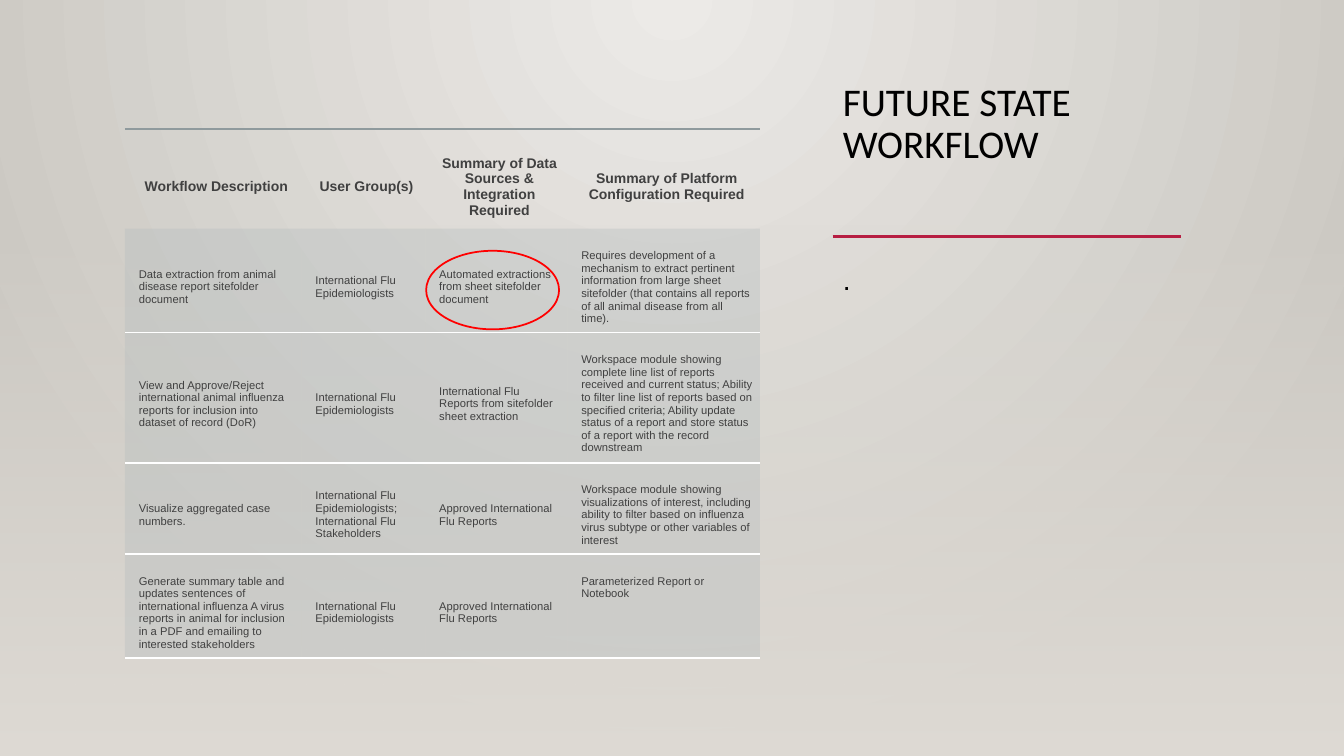
from lxml import etree
from pptx import Presentation
from pptx.dml.color import RGBColor
from pptx.enum.shapes import MSO_CONNECTOR, MSO_SHAPE
from pptx.enum.text import MSO_ANCHOR, PP_ALIGN
from pptx.oxml import parse_xml
from pptx.oxml.ns import qn
from pptx.util import Cm, Pt

STRAIGHT = MSO_CONNECTOR.STRAIGHT
RECTANGLE, OVAL = MSO_SHAPE.RECTANGLE, MSO_SHAPE.OVAL
TOP, MIDDLE = MSO_ANCHOR.TOP, MSO_ANCHOR.MIDDLE
LEFT, CENTER = PP_ALIGN.LEFT, PP_ALIGN.CENTER
DRAWING = "http://schemas.openxmlformats.org/drawingml/2006/main"
NO_GRID_STYLE = "{2D5ABB26-0587-4C30-8999-92F81FD0307C}"


def color(hex_value):
    return RGBColor.from_string(hex_value)


def write(frame, text, size, font="Arial", ink="000000", bold=False,
          align=LEFT, spacing=1.0, before=0):
    frame.word_wrap = True
    para = frame.paragraphs[0]
    para.alignment = align
    para.line_spacing = spacing
    para.space_before = Pt(before)
    span = para.add_run()
    span.text = text
    span.font.size = Pt(size)
    span.font.name = font
    span.font.bold = bold
    span.font.color.rgb = color(ink)


deck = Presentation()
deck.slide_width, deck.slide_height = Cm(33.87), Cm(19.05)
page = deck.slides.add_slide(deck.slide_layouts[6])

backdrop = page.background.fill
backdrop.gradient()
for stop, tone in zip(backdrop.gradient_stops, ("ECEAE7", "CAC7C1")):
    stop.color.rgb = color(tone)
linear = page.element.find(".//" + qn("a:lin"))
linear.getparent().replace(linear, parse_xml(
    f'<a:path xmlns:a="{DRAWING}" path="circle">'
    '<a:fillToRect l="43000" t="0" r="43000" b="100000"/></a:path>'))

floor = page.shapes.add_shape(RECTANGLE, Cm(0), Cm(5.61), deck.slide_width, Cm(13.44))
floor.shadow.inherit = False
floor.line.fill.background()
floor.fill.gradient()
floor.fill.gradient_angle = 270
for stop in floor.fill.gradient_stops:
    stop.color.rgb = color("DFDBD5")
first_tone = floor.element.find(".//" + qn("a:srgbClr"))
etree.SubElement(first_tone, qn("a:alpha")).set("val", "0")

title = page.shapes.add_textbox(Cm(20.99), Cm(1.96), Cm(8.76), Cm(3.63))
write(title.text_frame, "FUTURE STATE WORKFLOW", 28, font="Calibri", spacing=0.9)

rule = page.shapes.add_connector(STRAIGHT, Cm(20.98), Cm(5.96), Cm(29.76), Cm(5.96))
rule.line.color.rgb = color("B71E42")
rule.line.width = Pt(2.5)
etree.SubElement(rule.element.spPr, qn("a:effectLst"))

body = page.shapes.add_textbox(Cm(20.99), Cm(6.32), Cm(8.79), Cm(10.95))
write(body.text_frame, ".", 20, spacing=1.2, before=10)

rows = [
    ("Workflow Description", "User Group(s)",
     "Summary of Data Sources & Integration Required",
     "Summary of Platform Configuration Required"),
    ("Data extraction from animal disease report sitefolder document",
     "International Flu Epidemiologists",
     "Automated extractions from sheet sitefolder document",
     "Requires development of a mechanism to extract pertinent information from "
     "large sheet sitefolder (that contains all reports of all animal disease "
     "from all time)."),
    ("View and Approve/Reject international animal influenza reports for "
     "inclusion into dataset of record (DoR)",
     "International Flu Epidemiologists",
     "International Flu Reports from sitefolder sheet extraction",
     "Workspace module showing complete line list of reports received and current "
     "status; Ability to filter line list of reports based on specified criteria; "
     "Ability update status of a report and store status of a report with the "
     "record downstream"),
    ("Visualize aggregated case numbers.",
     "International Flu Epidemiologists; International Flu Stakeholders",
     "Approved International Flu Reports",
     "Workspace module showing visualizations of interest, including ability to "
     "filter based on influenza virus subtype or other variables of interest"),
    ("Generate summary table and updates sentences of international influenza A "
     "virus reports in animal for inclusion in a PDF and emailing to interested "
     "stakeholders",
     "International Flu Epidemiologists",
     "Approved International Flu Reports",
     "Parameterized Report or Notebook"),
]
widths = [4.45, 3.12, 3.58, 4.85]
heights = [2.51, 2.62, 3.25, 2.31, 2.62]

holder = page.shapes.add_table(len(rows), len(widths), Cm(3.15), Cm(3.25),
                               Cm(sum(widths)), Cm(sum(heights)))
table = holder.table
table.first_row = table.horz_banding = False
holder.element.find(".//" + qn("a:tableStyleId")).text = NO_GRID_STYLE
for column, width in zip(table.columns, widths):
    column.width = Cm(width)

for row_index, (row, height) in enumerate(zip(rows, heights)):
    table.rows[row_index].height = Cm(height)
    header = row_index == 0
    size = 10 if header else 8
    edge, tone, alpha = ("lnT", "8F9A9D", 60) if header else ("lnB", "FFFFFF", 100)
    for column_index, text in enumerate(row):
        cell = table.cell(row_index, column_index)
        details = not header and column_index == len(widths) - 1
        cell.vertical_anchor = TOP if details else MIDDLE
        cell.margin_left = Cm(0.35)
        cell.margin_right = Cm(0.2 if header else 0.18)
        cell.margin_top = Cm(0.2 if details else 0.08) + Pt(size * 1.15)
        cell.margin_bottom = Cm(0.05 if details else 0.08)
        write(cell.text_frame, text, size, ink="404040", bold=header,
              align=CENTER if header else LEFT)
        properties = cell._tc.get_or_add_tcPr()
        if header:
            cell.fill.background()
        else:
            cell.fill.solid()
            cell.fill.fore_color.rgb = color("B4BCBE")
            shade = properties.find(".//" + qn("a:srgbClr"))
            etree.SubElement(shade, qn("a:alpha")).set("val", "35000")
        properties.insert(0, parse_xml(
            f'<a:{edge} xmlns:a="{DRAWING}" w="{Pt(1.5)}"><a:solidFill>'
            f'<a:srgbClr val="{tone}"><a:alpha val="{alpha * 1000}"/></a:srgbClr>'
            f'</a:solidFill></a:{edge}>'))

highlight = page.shapes.add_shape(OVAL, Cm(10.74), Cm(6.32), Cm(3.35), Cm(1.98))
highlight.shadow.inherit = False
highlight.fill.background()
highlight.line.color.rgb = color("FF0000")
highlight.line.width = Pt(1.25)

deck.save("out.pptx")
